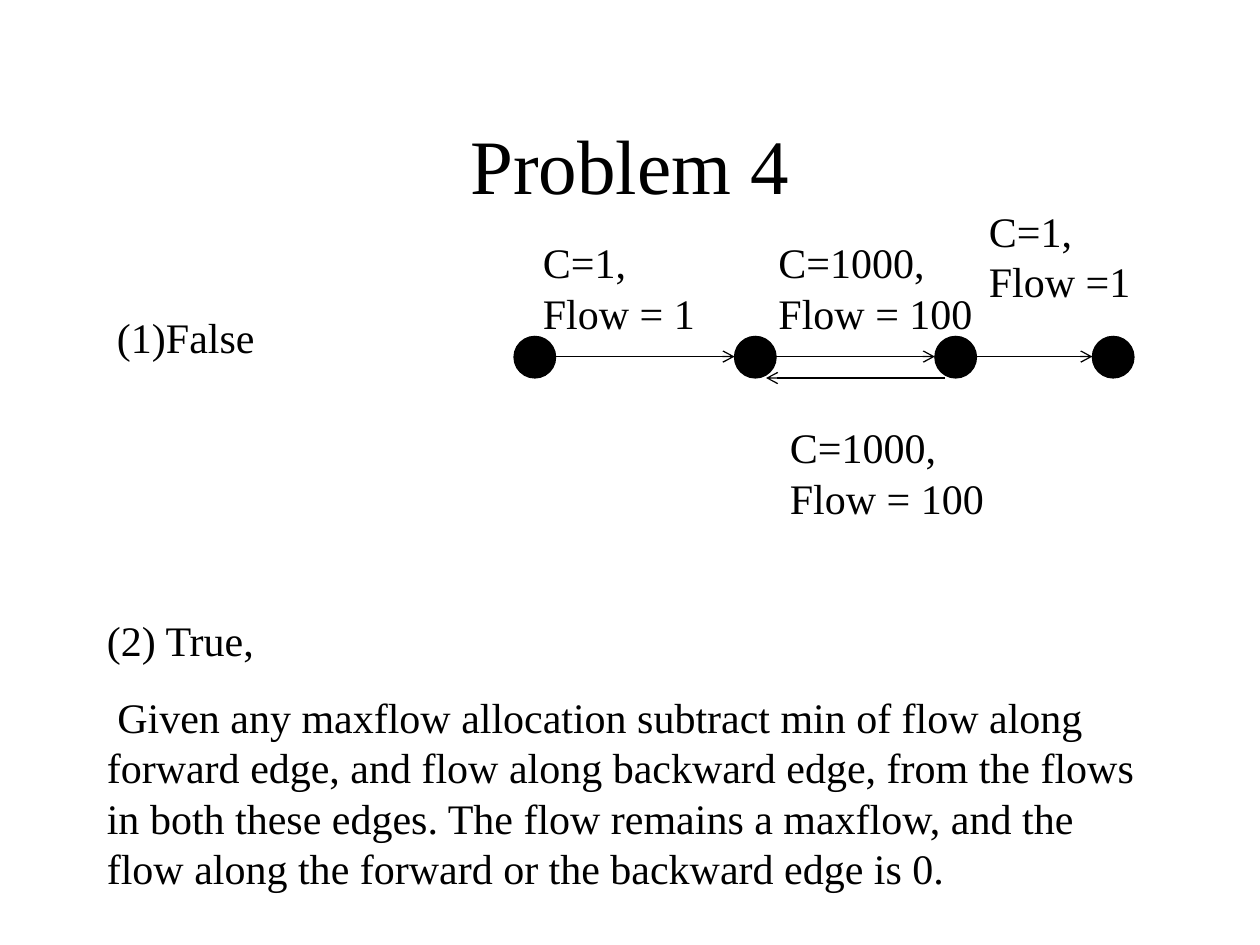
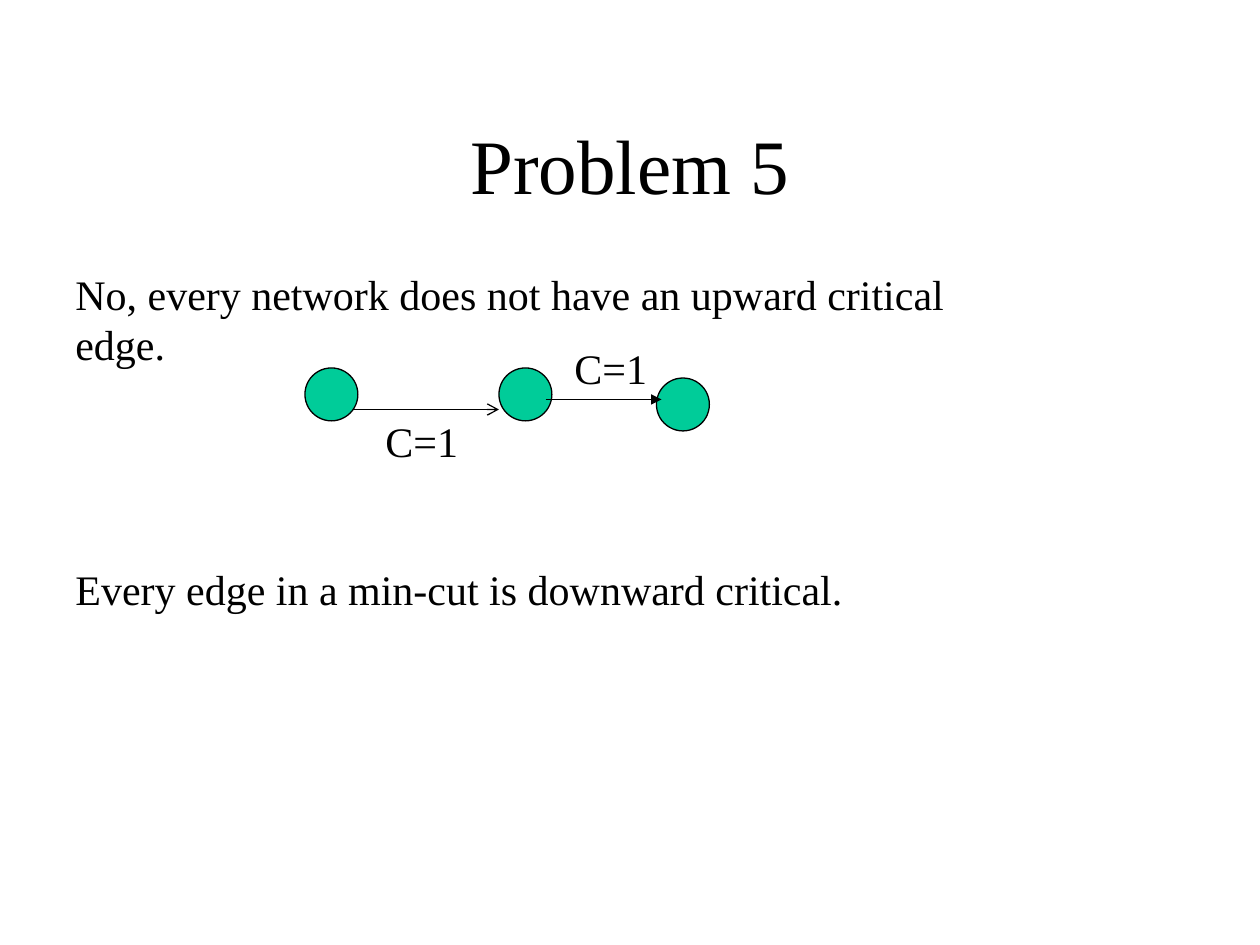
import dataclasses

import lxml.etree
import pptx
import pptx.dml.color
import pptx.enum.shapes
import pptx.enum.text
import pptx.oxml.ns
import pptx.util

Inches = pptx.util.Inches
Pt = pptx.util.Pt


@dataclasses.dataclass(frozen=True)
class Theme:
    font: str = "Times New Roman"
    ink: str = "000000"
    node_green: str = "00CC99"
    title_size: float = 44
    body_size: float = 24
    paragraph_gap: float = 15
    line_width: float = 0.75


class SlideBuilder:
    def __init__(self, deck, theme):
        self.deck = deck
        self.theme = theme
        self.page = None
        self.canvas = None

    def color(self, value):
        return pptx.dml.color.RGBColor.from_string(value)

    def new_page(self, title):
        self.page = self.deck.slides.add_slide(self.deck.slide_layouts[6])
        self.ungroup()
        box = self.text([title], 0.75, 0.67, 8.5, 1.25, self.theme.title_size)
        frame = box.text_frame
        frame.auto_size = pptx.enum.text.MSO_AUTO_SIZE.NONE
        frame.vertical_anchor = pptx.enum.text.MSO_ANCHOR.MIDDLE
        frame.paragraphs[0].alignment = pptx.enum.text.PP_ALIGN.CENTER

    def group(self):
        self.canvas = self.page.shapes.add_group_shape().shapes

    def ungroup(self):
        self.canvas = self.page.shapes

    def text(self, paragraphs, left, top, width, height, size=None):
        box = self.canvas.add_textbox(Inches(left), Inches(top), Inches(width), Inches(height))
        frame = box.text_frame
        frame.word_wrap = True
        frame.auto_size = pptx.enum.text.MSO_AUTO_SIZE.SHAPE_TO_FIT_TEXT
        for index, words in enumerate(paragraphs):
            para = frame.add_paragraph() if index else frame.paragraphs[0]
            para.text = words
            if index:
                para.space_before = Pt(self.theme.paragraph_gap)
            para.font.name = self.theme.font
            para.font.size = Pt(size or self.theme.body_size)
            para.font.color.rgb = self.color(self.theme.ink)
        return box

    def indent_first_line(self, para, points):
        para._p.get_or_add_pPr().set("indent", str(Pt(points)))

    def outline(self, line):
        line.color.rgb = self.color(self.theme.ink)
        line.width = Pt(self.theme.line_width)

    def node(self, left, top, diameter, fill):
        circle = self.canvas.add_shape(
            pptx.enum.shapes.MSO_SHAPE.OVAL,
            Inches(left), Inches(top), Inches(diameter), Inches(diameter))
        circle.shadow.inherit = False
        circle.fill.solid()
        circle.fill.fore_color.rgb = self.color(fill)
        self.outline(circle.line)

    def edge(self, start, end, y, arrowhead="arrow"):
        arrow = self.canvas.add_connector(
            pptx.enum.shapes.MSO_CONNECTOR.STRAIGHT,
            Inches(start), Inches(y), Inches(end), Inches(y))
        self.outline(arrow.line)
        qn = pptx.oxml.ns.qn
        line = arrow.line._get_or_add_ln()
        lxml.etree.SubElement(line, qn("a:tailEnd")).set("type", arrowhead)
        lxml.etree.SubElement(arrow._element.spPr, qn("a:effectLst"))


def problem_four(builder):
    builder.new_page("Problem 4")
    builder.text(["(1)False"], 0.83, 2.42, 7.25, 0.5)

    diameter, node_top, edge_y = 0.33, 2.67, 2.83
    node_lefts = [4.08, 5.83, 7.42, 8.67]
    for left in node_lefts:
        builder.node(left, node_top, diameter, builder.theme.ink)
    for left, next_left in zip(node_lefts, node_lefts[1:]):
        builder.edge(left + diameter, next_left, edge_y)
    builder.edge(7.5, 6.08, 3)

    for words, left, top, width in [
        ("C=1, Flow = 1", 4.21, 1.83, 1.58),
        ("C=1000, Flow = 100", 6.08, 1.83, 1.92),
        ("C=1, Flow =1", 7.75, 1.58, 1.5),
        ("C=1000, Flow = 100", 6.17, 3.3, 1.92),
    ]:
        builder.text([words], left, top, width, 0.9)

    answer = builder.text([
        "(2) True,",
        "Given any maxflow allocation subtract min of flow along forward edge, "
        "and flow along backward edge, from the flows in both these edges. "
        "The flow remains a maxflow, and the flow along the forward or the "
        "backward edge is 0.",
    ], 0.75, 4.83, 8.5, 2.31)
    builder.indent_first_line(answer.text_frame.paragraphs[1], 6)


def problem_five(builder):
    builder.new_page("Problem 5")
    builder.text(["No, every network does not have an upward critical edge."],
                 0.5, 2.08, 7.5, 0.9)

    builder.group()
    builder.edge(2.62, 3.96, 3.25)
    for left, top in [(2.42, 2.92), (3.96, 2.92), (5.21, 3)]:
        builder.node(left, top, 0.42, builder.theme.node_green)
    for left, top in [(2.96, 3.25), (4.46, 2.67)]:
        builder.text(["C=1"], left, top, 1.25, 0.5)
    builder.ungroup()

    builder.edge(4.33, 5.25, 3.17, "triangle")
    builder.text(["Every edge in a min-cut is downward critical."], 0.5, 4.42, 8.92, 0.5)


def main():
    deck = pptx.Presentation()
    deck.slide_width = Inches(10)
    deck.slide_height = Inches(7.5)
    builder = SlideBuilder(deck, Theme())
    problem_four(builder)
    problem_five(builder)
    deck.save("out.pptx")


if __name__ == "__main__":
    main()
